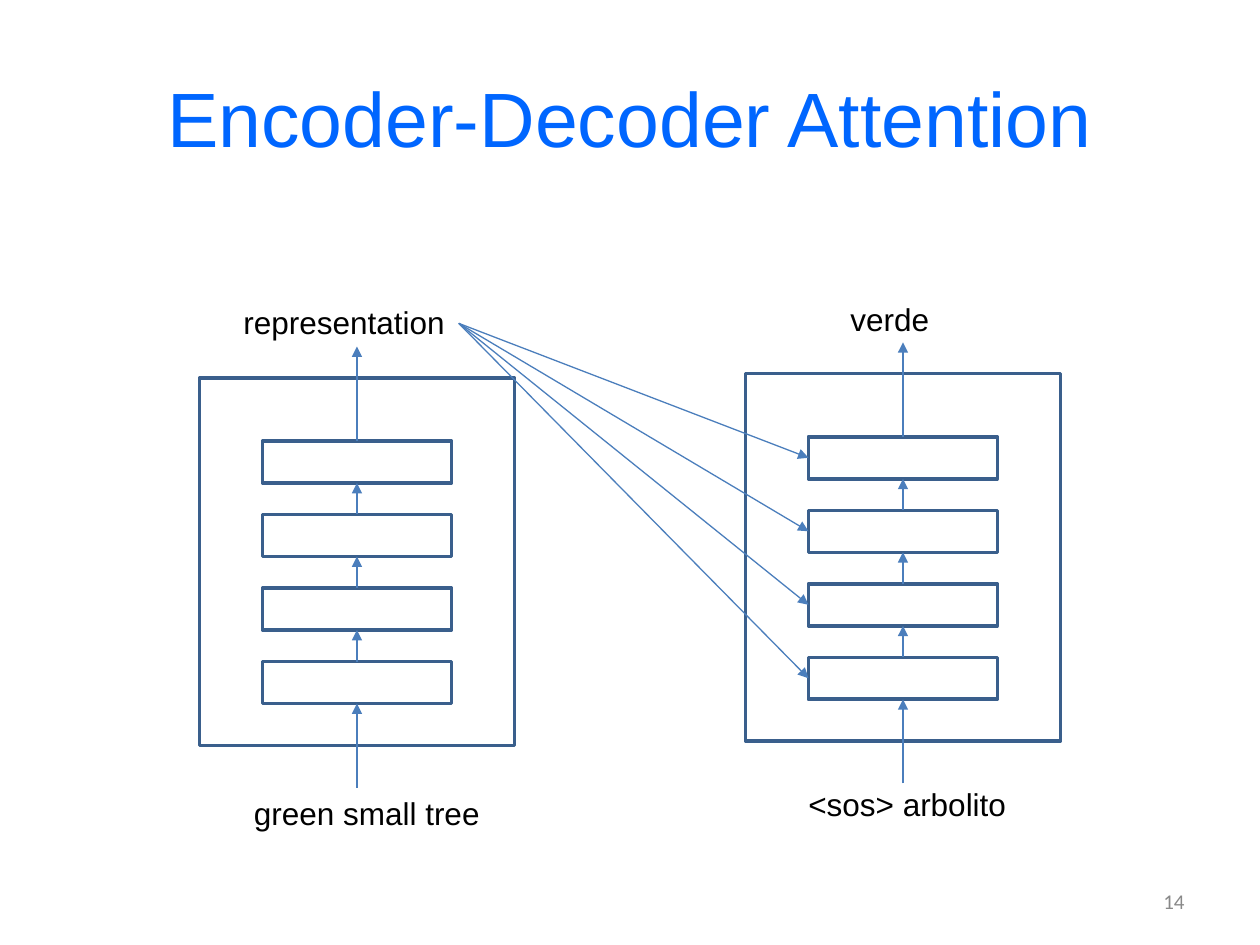
from dataclasses import dataclass

from lxml import etree
from pptx import Presentation
from pptx.dml.color import RGBColor
from pptx.enum.shapes import MSO_CONNECTOR, MSO_SHAPE
from pptx.enum.text import MSO_ANCHOR, MSO_AUTO_SIZE, PP_ALIGN
from pptx.oxml.ns import qn
from pptx.util import Emu, Pt

RECTANGLE = MSO_SHAPE.RECTANGLE
STRAIGHT = MSO_CONNECTOR.STRAIGHT
TOP, MIDDLE = MSO_ANCHOR.TOP, MSO_ANCHOR.MIDDLE
LEFT, CENTER, RIGHT = PP_ALIGN.LEFT, PP_ALIGN.CENTER, PP_ALIGN.RIGHT
FIT_SHAPE = MSO_AUTO_SIZE.SHAPE_TO_FIT_TEXT

EMU_PER_PX = 7620
SLIDE_SIZE = (1200, 900)
LAYERS = 4
LAYER_STEP = 70
LAYER_WIDTH, LAYER_HEIGHT = 180, 40
LAYER_INSET = 60
STACK_WIDTH, STACK_HEIGHT = 300, 350
INPUT_REACH, OUTPUT_REACH = 40, 30


@dataclass(frozen=True)
class Theme:
    title_color: str = "0066FF"
    text_color: str = "000000"
    number_color: str = "898989"
    outline_color: str = "3A5F8C"
    arrow_color: str = "4B7EBC"
    font: str = "Arial"
    number_font: str = "Calibri"
    title_size: int = 44
    label_size: int = 18
    number_size: int = 12
    outline_width: float = 2
    arrow_width: float = 0.75


def px(length):
    return Emu(length * EMU_PER_PX)


class Canvas:
    """Draws styled elements on the current slide."""

    def __init__(self, slide, theme):
        self.shapes = slide.shapes
        self.theme = theme

    def text(self, words, box, size, color, font, align, anchor=MIDDLE, wrap=True):
        frame = self.shapes.add_textbox(*map(px, box)).text_frame
        frame.word_wrap = wrap
        frame.vertical_anchor = anchor
        paragraph = frame.paragraphs[0]
        paragraph.text = words
        paragraph.alignment = align
        paragraph.font.name = font
        paragraph.font.size = Pt(size)
        paragraph.font.color.rgb = RGBColor.from_string(color)
        return frame

    def title(self, words, box):
        theme = self.theme
        self.text(words, box, theme.title_size, theme.title_color, theme.font, CENTER)

    def page_number(self, words, box):
        theme = self.theme
        self.text(words, box, theme.number_size, theme.number_color,
                  theme.number_font, RIGHT)

    def label(self, words, left, top, width):
        theme = self.theme
        frame = self.text(words, (left, top, width, 48), theme.label_size,
                          theme.text_color, theme.font, LEFT, TOP, wrap=False)
        frame.auto_size = FIT_SHAPE

    def outline(self, *box):
        rectangle = self.shapes.add_shape(RECTANGLE, *map(px, box))
        rectangle.shadow.inherit = False
        rectangle.fill.background()
        rectangle.line.color.rgb = RGBColor.from_string(self.theme.outline_color)
        rectangle.line.width = Pt(self.theme.outline_width)

    def arrow(self, start, end):
        arrow = self.shapes.add_connector(STRAIGHT, *map(px, start + end))
        arrow.line.color.rgb = RGBColor.from_string(self.theme.arrow_color)
        arrow.line.width = Pt(self.theme.arrow_width)
        etree.SubElement(arrow.line._get_or_add_ln(), qn("a:tailEnd"), type="triangle")
        etree.SubElement(arrow._element.spPr, qn("a:effectLst"))

    def stack(self, left, top):
        self.outline(left, top, STACK_WIDTH, STACK_HEIGHT)
        layer_left = left + LAYER_INSET
        layer_tops = [top + LAYER_INSET + LAYER_STEP * i for i in range(LAYERS)]
        for layer_top in layer_tops:
            self.outline(layer_left, layer_top, LAYER_WIDTH, LAYER_HEIGHT)
        center = left + STACK_WIDTH // 2
        starts = layer_tops + [top + STACK_HEIGHT + INPUT_REACH]
        ends = [top - OUTPUT_REACH] + [y + LAYER_HEIGHT for y in layer_tops]
        for start, end in zip(starts, ends):
            self.arrow((center, start), (center, end))
        return [(layer_left, y + LAYER_HEIGHT // 2) for y in layer_tops]


def main():
    deck = Presentation()
    deck.slide_width, deck.slide_height = map(px, SLIDE_SIZE)
    canvas = Canvas(deck.slides.add_slide(deck.slide_layouts[6]), Theme())

    canvas.title("Encoder-Decoder Attention", (60, 36, 1080, 150))
    canvas.page_number("14", (860, 834, 280, 48))

    canvas.stack(190, 360)
    canvas.label("green small tree", 230, 750, 241)
    canvas.label("representation", 220, 283, 217)

    decoder_inputs = canvas.stack(710, 356)
    canvas.label("<sos> arbolito", 758, 742, 215)
    canvas.label("verde", 798, 280, 100)

    representation_edge = (437, 308)
    for decoder_input in decoder_inputs:
        canvas.arrow(representation_edge, decoder_input)

    deck.save("out.pptx")


if __name__ == "__main__":
    main()
